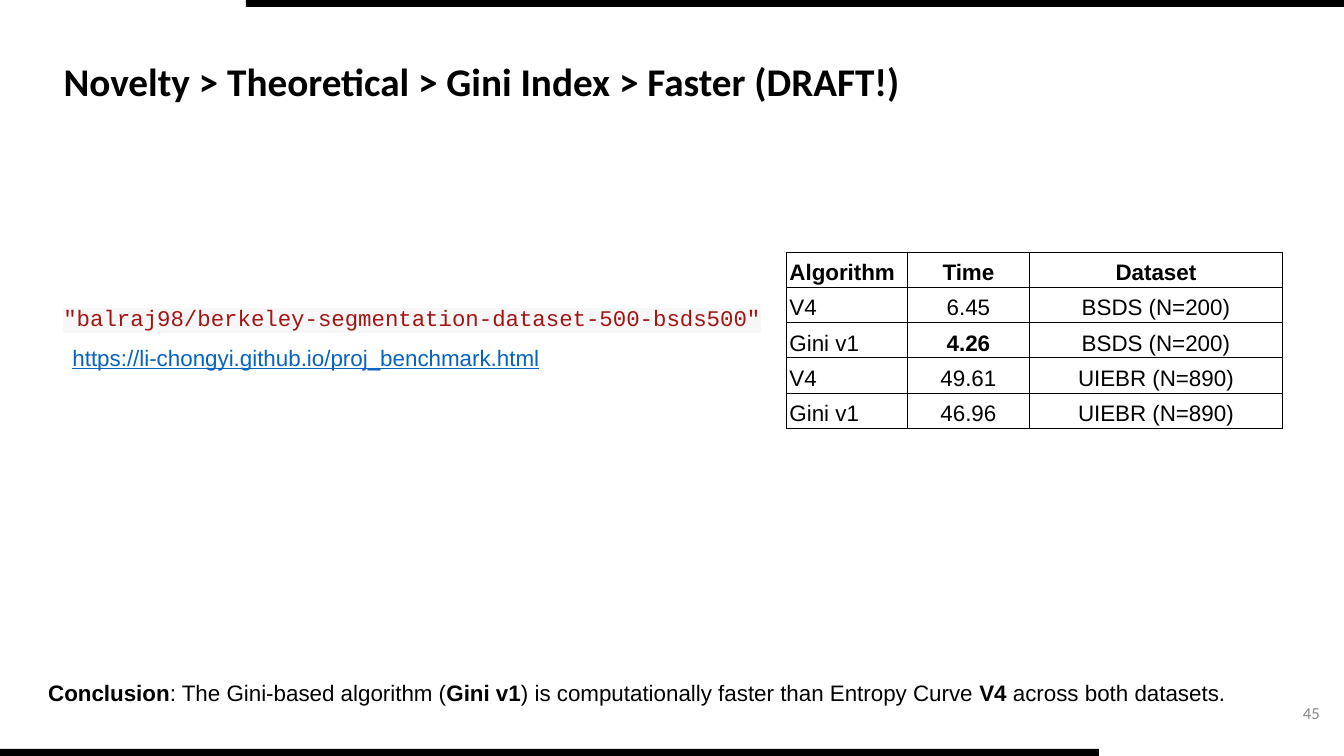
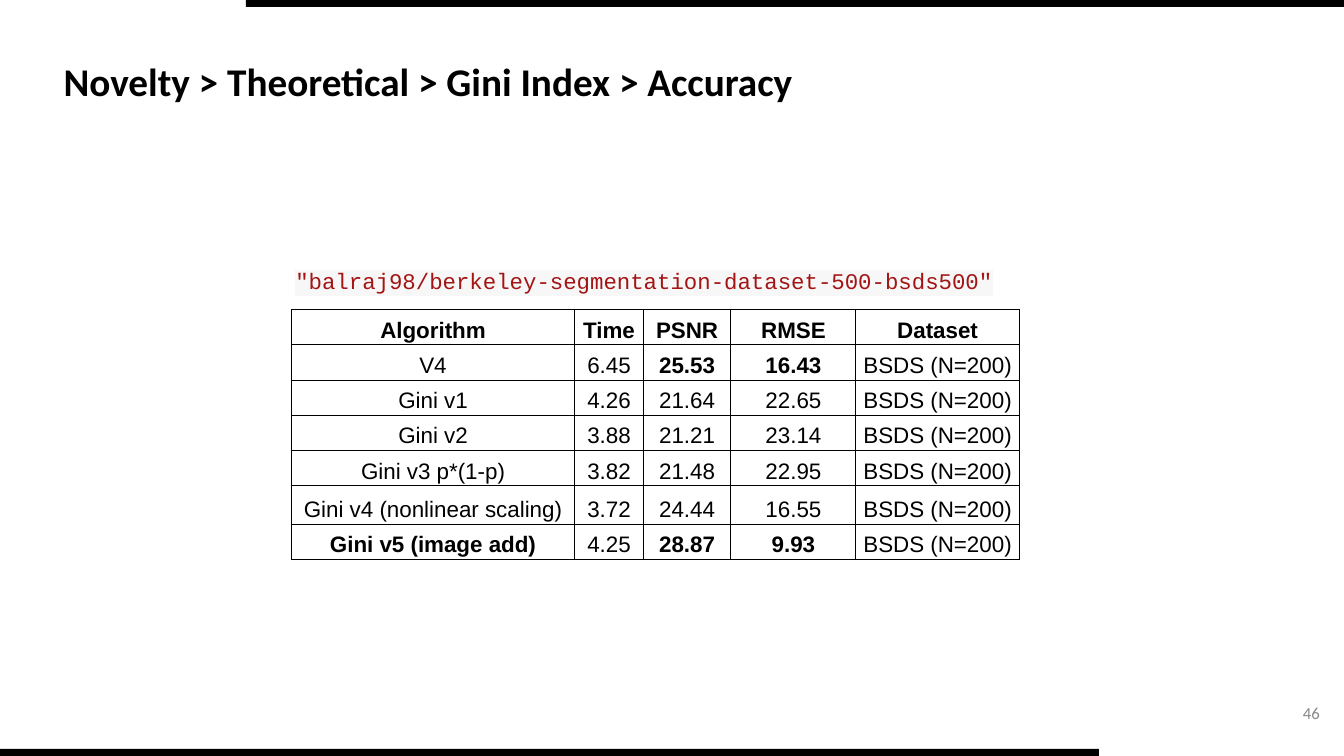
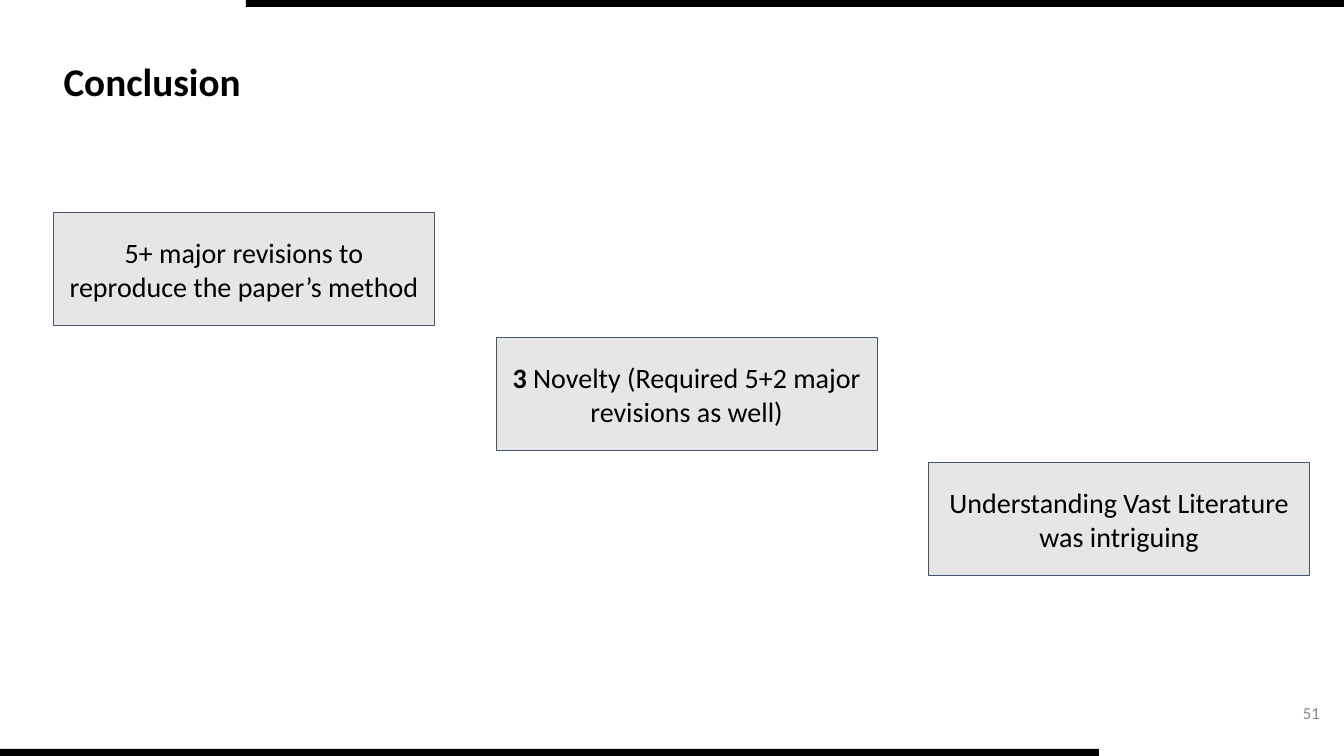
from lxml import etree
from pptx import Presentation
from pptx import util as u
from pptx.dml.color import RGBColor
from pptx.enum import shapes, text
from pptx.oxml.ns import qn

PX = 9144  # EMU in one px, 100 px to the inch
COLORS = {
    "ink": "000000",
    "number": "888888",
    "code": "A31515",
    "code_back": "F7F7F7",
    "link": "0563C1",
    "box": "E7E6E6",
    "box_line": "44546A",
}
LEFT, CENTER, RIGHT = text.PP_ALIGN.LEFT, text.PP_ALIGN.CENTER, text.PP_ALIGN.RIGHT
TOP, MIDDLE, BOTTOM = (text.MSO_ANCHOR.TOP, text.MSO_ANCHOR.MIDDLE,
                       text.MSO_ANCHOR.BOTTOM)
DATASET = '"balraj98/berkeley-segmentation-dataset-500-bsds500"'


def px(*lengths):
    return [u.Emu(length * PX) for length in lengths]


def rgb(name):
    return RGBColor.from_string(COLORS[name])


# Text: parts between ** marks are bold
def write(paragraph, marked, size, font="Arial", color="ink", align=LEFT, spacing=None):
    paragraph.alignment = align
    if spacing:
        paragraph.line_spacing = spacing
    for index, part in enumerate(marked.split("**")):
        if part:
            run = paragraph.add_run()
            run.text = part
            run.font.size = u.Pt(size)
            run.font.name = font
            run.font.bold = index % 2 == 1
            run.font.color.rgb = rgb(color)


def set_frame(frame, anchor=TOP, inset_y=10):
    frame.word_wrap = True
    frame.auto_size = text.MSO_AUTO_SIZE.NONE
    frame.vertical_anchor = anchor
    frame.margin_left, frame.margin_right = px(10, 10)
    frame.margin_top, frame.margin_bottom = px(inset_y, inset_y)


def add_text(slide, box, marked, size=16, anchor=TOP, inset_y=10, **style):
    frame = slide.shapes.add_textbox(*px(*box)).text_frame
    set_frame(frame, anchor, inset_y)
    write(frame.paragraphs[0], marked, size, **style)
    return frame.paragraphs[0]


def add_box(slide, box, fill, line=None):
    rect = slide.shapes.add_shape(shapes.MSO_SHAPE.RECTANGLE, *px(*box))
    rect.shadow.inherit = False
    rect.fill.solid()
    rect.fill.fore_color.rgb = rgb(fill)
    if line:
        rect.line.color.rgb = rgb(line)
        rect.line.width = u.Pt(0.75)
    else:
        rect.line.fill.background()
    return rect


# What all slides share: bands, title, number
def add_page(prs, heading, number):
    slide = prs.slides.add_slide(prs.slide_layouts[5])
    add_box(slide, (0, 743, 1090, 7), "ink")
    add_box(slide, (244, 0, 1090, 7), "ink")
    title = slide.shapes.title
    title.left, title.top, title.width, title.height = px(53, 52, 908, 57)
    set_frame(title.text_frame, inset_y=5)
    write(title.text_frame.paragraphs[0], f"**{heading}**", 28, "Calibri")
    add_text(slide, (1019, 687, 300, 40), str(number), 12, MIDDLE, 5,
             font="Calibri", color="number", align=RIGHT)
    return slide


def add_dataset_name(slide, left, top):
    line = add_text(slide, (left, top, 745, 47), DATASET, font="Courier New",
                    color="code", spacing=1.36)
    fill = line.runs[0].font._element.find(qn("a:solidFill"))
    highlight = etree.Element(qn("a:highlight"))
    etree.SubElement(highlight, qn("a:srgbClr"), val=COLORS["code_back"])
    fill.addnext(highlight)


# Results tables
def add_borders(cell):
    props = cell._tc.get_or_add_tcPr()
    for side in ("lnL", "lnR", "lnT", "lnB"):
        border = etree.SubElement(props, qn(f"a:{side}"), w=str(u.Pt(0.75)))
        fill = etree.SubElement(border, qn("a:solidFill"))
        etree.SubElement(fill, qn("a:srgbClr"), val=COLORS["ink"])


def add_results(slide, left, top, widths, heights, rows, first_align=CENTER):
    frame = slide.shapes.add_table(len(rows), len(widths),
                                   *px(left, top, sum(widths), sum(heights)))
    table = frame.table
    table.first_row = table.horz_banding = False
    for column, width in zip(table.columns, px(*widths)):
        column.width = width
    for row, height in zip(table.rows, px(*heights)):
        row.height = height
    for r, values in enumerate(rows):
        for c, value in enumerate(values):
            cell = table.cell(r, c)
            add_borders(cell)
            cell.fill.background()
            cell.vertical_anchor = BOTTOM
            cell.margin_left, cell.margin_right = px(3, 3)
            cell.margin_top, cell.margin_bottom = px(2, 2)
            write(cell.text_frame.paragraphs[0], value if r else f"**{value}**", 16,
                  align=CENTER if c else first_align, spacing=1.15)


def build_speed(prs):
    slide = add_page(prs, "Novelty > Theoretical > Gini Index > Faster (DRAFT!)", 45)
    add_dataset_name(slide, 53, 282)
    bsds, uiebr = "BSDS (N=200)", "UIEBR (N=890)"
    add_results(slide, 780, 250, [120, 121, 251], [35] * 5, [
        ("Algorithm", "Time", "Dataset"),
        ("V4", "6.45", bsds),
        ("Gini v1", "**4.26**", bsds),
        ("V4", "49.61", uiebr),
        ("Gini v1", "46.96", uiebr),
    ], first_align=LEFT)
    link = add_text(slide, (62, 331, 492, 47),
                    "https://li-chongyi.github.io/proj_benchmark.html", color="link")
    link.runs[0].font.underline = True
    add_text(slide, (38, 664, 1207, 47),
             "**Conclusion**: The Gini-based algorithm (**Gini v1**) is computationally "
             "faster than Entropy Curve **V4** across both datasets.")


def build_accuracy(prs):
    slide = add_page(prs, "Novelty > Theoretical > Gini Index > Accuracy", 46)
    add_dataset_name(slide, 283, 245)
    scores = [
        ("V4", "6.45", "**25.53**", "**16.43**"),
        ("Gini v1", "4.26", "21.64", "22.65"),
        ("Gini v2", "3.88", "21.21", "23.14"),
        ("Gini v3 p*(1-p)", "3.82", "21.48", "22.95"),
        ("Gini v4 (nonlinear scaling)", "3.72", "24.44", "16.55"),
        ("**Gini v5 (image add)**", "4.25", "**28.87**", "**9.93**"),
    ]
    rows = [("Algorithm", "Time", "PSNR", "RMSE", "Dataset")]
    rows += [score + ("BSDS (N=200)",) for score in scores]
    add_results(slide, 289, 307, [281, 68, 87, 124, 162], [35] * 5 + [38, 35], rows)


def build_conclusion(prs):
    slide = add_page(prs, "Conclusion", 51)
    points = [
        (53, "5+ major revisions to reproduce the paper’s method"),
        (492, "**3** Novelty (Required 5+2 major revisions as well)"),
        (921, "Understanding Vast Literature was intriguing"),
    ]
    for step, (left, point) in enumerate(points):
        box = add_box(slide, (left, 211 + step * 124, 378, 112), "box", "box_line")
        set_frame(box.text_frame, MIDDLE)
        write(box.text_frame.paragraphs[0], point, 20, "Calibri", align=CENTER)


def main():
    prs = Presentation()
    prs.slide_width, prs.slide_height = px(1333, 750)
    build_speed(prs)
    build_accuracy(prs)
    build_conclusion(prs)
    prs.save("out.pptx")


if __name__ == "__main__":
    main()
